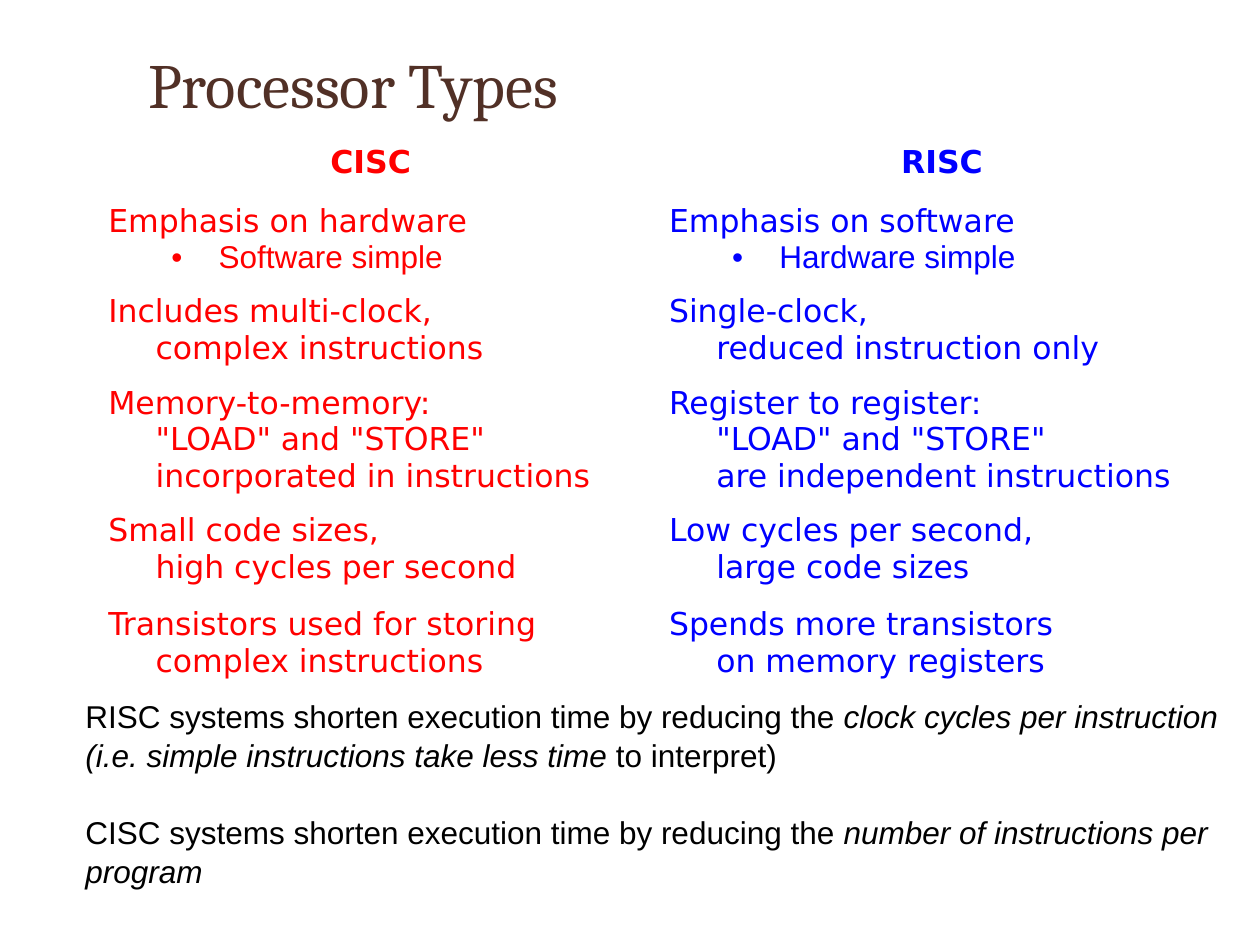
from lxml import etree
from pptx import Presentation
from pptx.dml.color import RGBColor
from pptx.enum import text
from pptx.oxml import ns
from pptx.util import Inches, Pt

INK = {"title": "513026", "cisc": "FF0000", "risc": "0000FF", "note": "000000"}

deck = Presentation()
deck.slide_width, deck.slide_height = Inches(10), Inches(7.5)
slide = deck.slides.add_slide(deck.slide_layouts[6])

# Grid of 100 columns by 75 rows
col = deck.slide_width / 100
row = deck.slide_height / 75


def style(para, face, size, ink, bold=False):
    para.font.name, para.font.size, para.font.bold = face, Pt(size), bold
    para.font.color.rgb = RGBColor.from_string(INK[ink])


def add_box(left, top, width, height):
    box = slide.shapes.add_textbox(
        int(left * col), int(top * row), int(width * col), int(height * row))
    box.text_frame.word_wrap = True
    return box.text_frame


# Title
head = add_box(10.8, -4.2, 84.3, 21.7)
head.vertical_anchor = text.MSO_ANCHOR.MIDDLE
head.text = "Processor Types"
style(head.paragraphs[0], "Cambria", 36, "title")

# Comparison table: each cell holds a main line and, if any, a bullet
rows = [
    (5.2, ["CISC "], ["RISC "]),
    (5.2, ["Emphasis on hardware", "Software simple"],
     ["Emphasis on software", "Hardware simple"]),
    (7.4, ["Includes multi-clock,\vcomplex instructions"],
     ["Single-clock,\vreduced instruction only"]),
    (9.7, ['Memory-to-memory:\v"LOAD" and "STORE"\vincorporated in instructions'],
     ['Register to register:\v"LOAD" and "STORE"\vare independent instructions']),
    (7.4, ["Small code sizes,\vhigh cycles per second"],
     ["Low cycles per second,\vlarge code sizes"]),
    (7.5, ["Transistors used for storing\vcomplex instructions"],
     ["Spends more transistors\von memory registers"]),
]
wides = [44.5, 46.2]
tall = sum(line[0] for line in rows)
table = slide.shapes.add_table(
    len(rows), len(wides), int(7.6 * col), int(10.3 * row),
    int(sum(wides) * col), int(tall * row)).table
table.first_row = table.horz_banding = False
for c, wide in enumerate(wides):
    table.columns[c].width = int(wide * col)

for r, (high, *pair) in enumerate(rows):
    table.rows[r].height = int(high * row)
    for c, (ink, lines) in enumerate(zip(("cisc", "risc"), pair)):
        cell = table.cell(r, c)
        cell.fill.background()
        cell.vertical_anchor = text.MSO_ANCHOR.MIDDLE
        cell.text_frame.text = "\n".join(lines)
        for level, para in enumerate(cell.text_frame.paragraphs):
            para.level = level
            prop = para._p.get_or_add_pPr()
            prop.set("marL", str(int((3.75 + 5 * level) * col)))
            prop.set("indent", str(int(-3.75 * col)))
            if level:
                etree.SubElement(prop, ns.qn("a:buFont"), typeface="Arial")
                etree.SubElement(prop, ns.qn("a:buChar"), char="•")
            style(para, "Arial" if level else "DejaVu Sans", 18, ink, r == 0)
            if r == 0:
                para.alignment = text.PP_ALIGN.CENTER

# Closing notes, with the key phrase of each in italics
notes = [
    [("RISC systems shorten execution time by reducing the ", False),
     ("clock cycles per instruction (i.e. simple instructions take less time ", True),
     ("to interpret)", False)],
    [("CISC systems shorten execution time by reducing the ", False),
     ("number of instructions per program", True)],
]
foot = add_box(5.8, 54.7, 94.2, 16.2)
for n, runs in enumerate(notes):
    para = foot.add_paragraph() if n else foot.paragraphs[0]
    para.line_spacing = 1.04
    if n:
        para.space_before = Pt(21.5)
    style(para, "Arial", 18, "note")
    for words, slant in runs:
        run = para.add_run()
        run.text = words
        run.font.italic = slant

deck.save("out.pptx")
